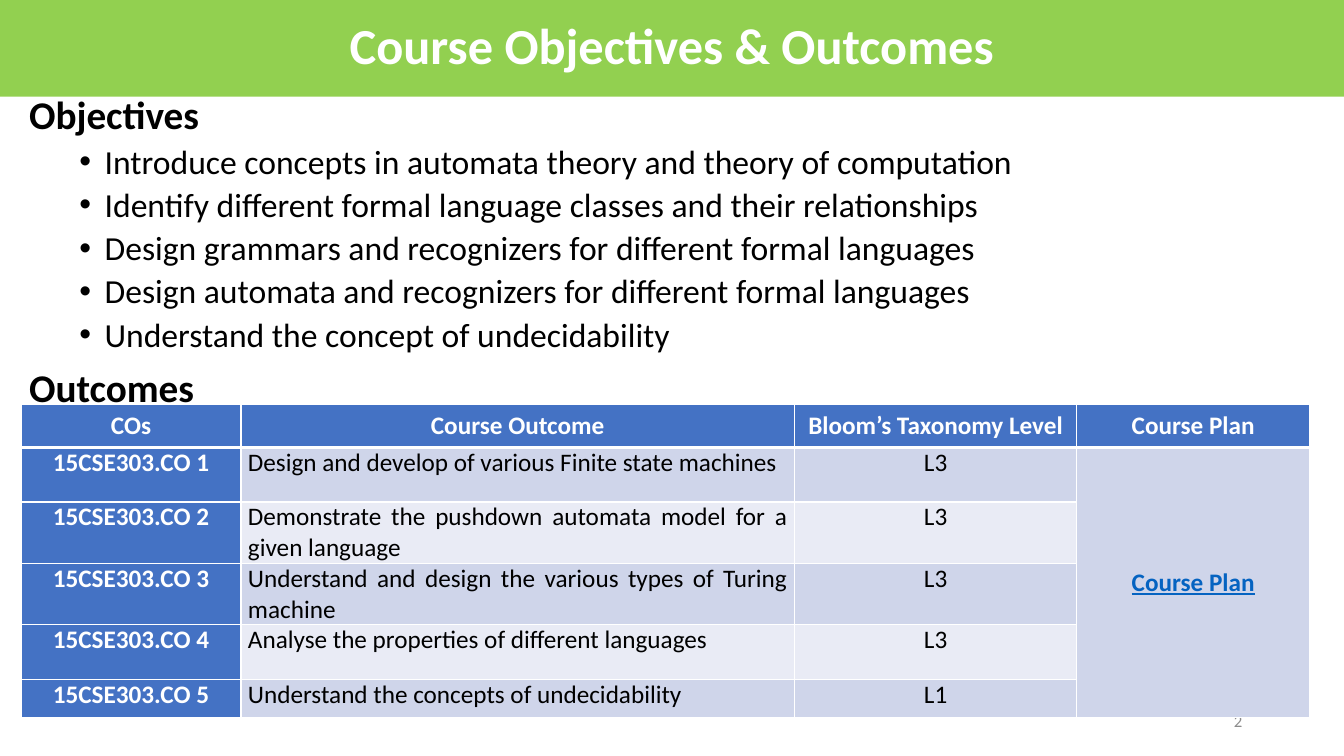
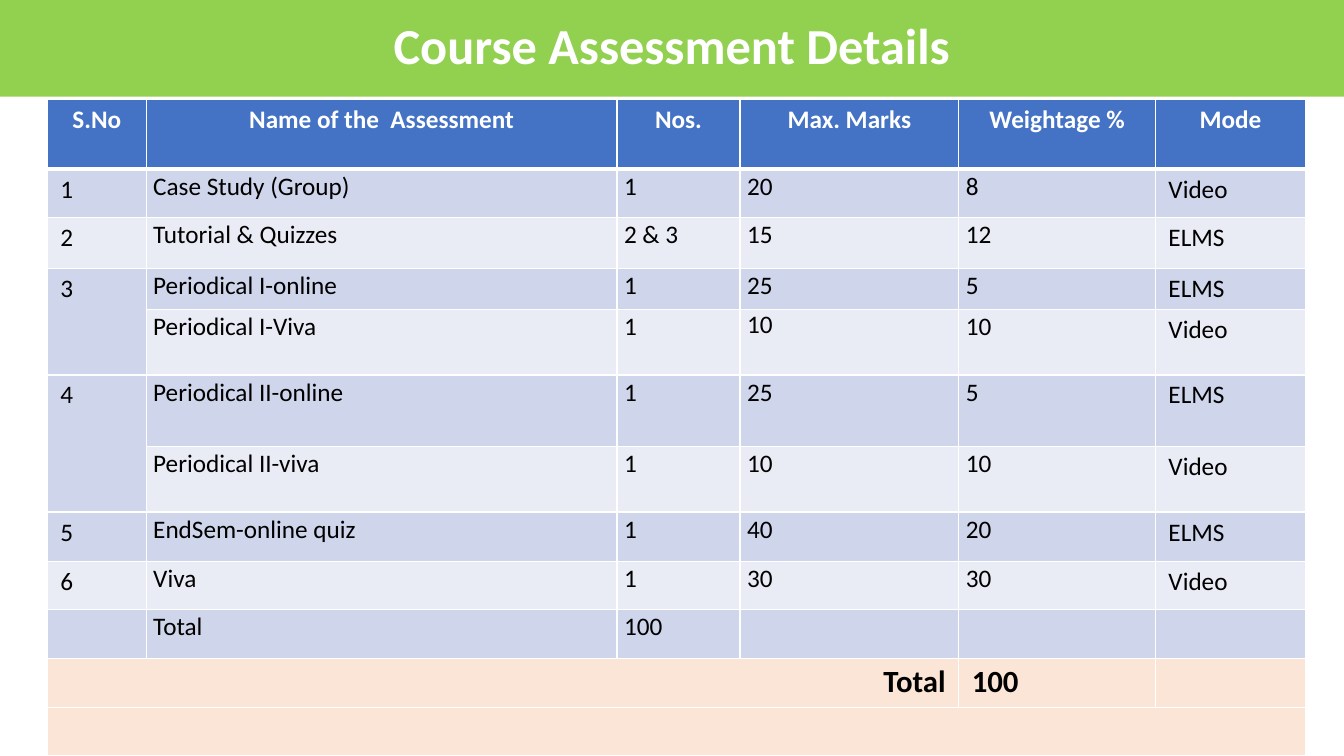
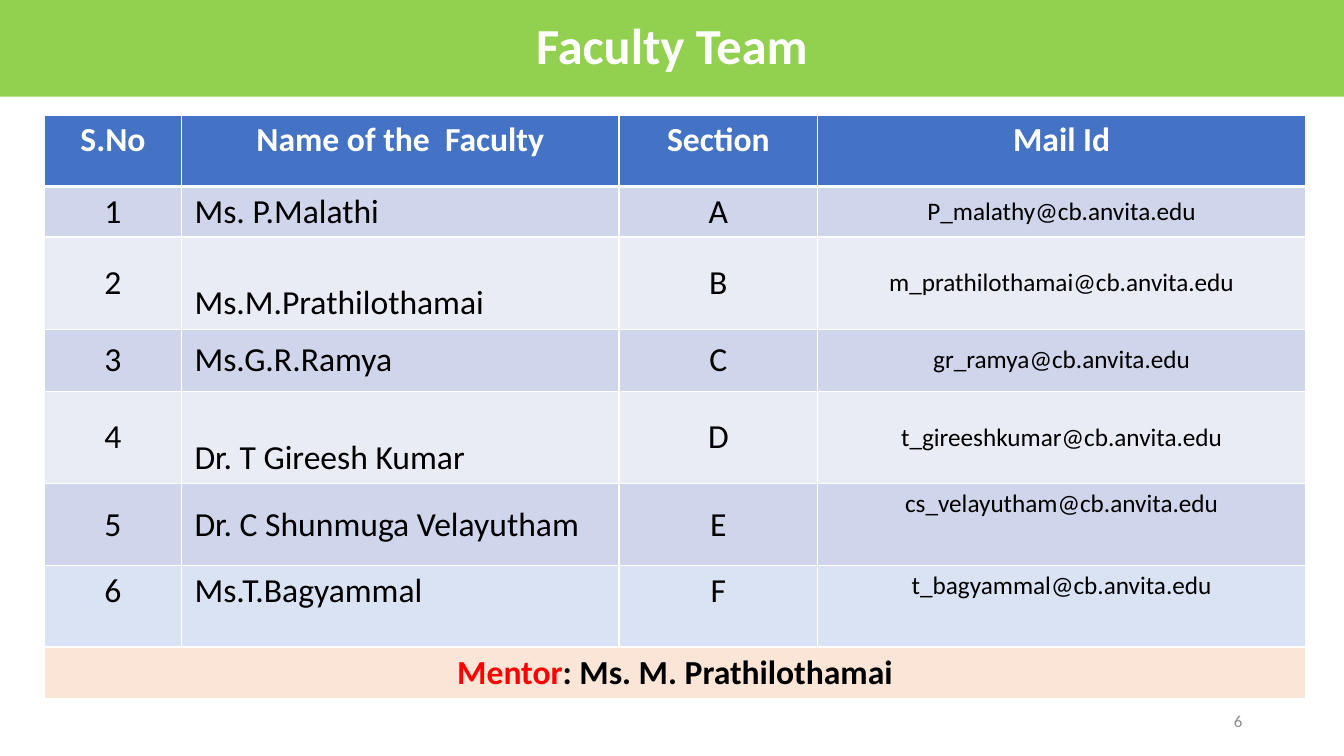
from dataclasses import dataclass

from pptx import Presentation
from pptx import util as u
from pptx.dml.color import RGBColor
from pptx.enum import shapes, text
from pptx.oxml import xmlchemy

LEFT, CENTER, RIGHT, JUSTIFY = (
    text.PP_ALIGN.LEFT, text.PP_ALIGN.CENTER, text.PP_ALIGN.RIGHT, text.PP_ALIGN.JUSTIFY)
TOP, MIDDLE = text.MSO_ANCHOR.TOP, text.MSO_ANCHOR.MIDDLE


@dataclass(frozen=True)
class Theme:
    font: str = "Calibri"
    width: float = 13.33
    height: float = 7.5
    band_height: float = 0.96
    band: str = "92D050"
    header: str = "4472C4"
    stripes: tuple = ("E9EBF5", "CFD5EA")
    total: str = "FBE5D6"
    pale: str = "DAE3F3"
    white: str = "FFFFFF"
    ink: str = "000000"
    muted: str = "8C8C8C"
    link: str = "0563C1"
    accent: str = "FF0000"
    title_size: int = 36
    heading_size: int = 28
    body_size: int = 24
    total_size: int = 22
    cell_size: int = 18
    number_size: int = 12
    tight: tuple = (0.07, 0, 0.07, 0)
    roomy: tuple = (0.13, 0.05, 0.13, 0.05)
    dropped: tuple = (0.13, 0.45, 0.13, 0.05)


THEME = Theme()


def element(parent, tag, **attributes):
    child = xmlchemy.OxmlElement(tag)
    for key, value in attributes.items():
        child.set(key, str(value))
    parent.append(child)
    return child


class Deck:
    def __init__(self, theme):
        self.theme = theme
        self.show = Presentation()
        self.show.slide_width = u.Inches(theme.width)
        self.show.slide_height = u.Inches(theme.height)
        self.slide = None

    def start(self, title):
        self.slide = self.show.slides.add_slide(self.show.slide_layouts[6])
        theme = self.theme
        band = self.slide.shapes.add_shape(
            shapes.MSO_SHAPE.RECTANGLE, 0, 0, u.Inches(theme.width), u.Inches(theme.band_height))
        band.shadow.inherit = False
        band.fill.solid()
        band.fill.fore_color.rgb = RGBColor.from_string(theme.band)
        band.line.fill.background()
        band.text_frame.vertical_anchor = MIDDLE
        self.typeset(band.text_frame.paragraphs[0], title, size=theme.title_size,
                     color=theme.white, bold=True, align=CENTER, spacing=0.9)

    def typeset(self, paragraph, content, size, color=None, bold=False, underline=False,
                align=LEFT, spacing=None, before=None):
        layout = {"alignment": align, "line_spacing": spacing,
                  "space_before": None if before is None else u.Pt(before)}
        for name, value in layout.items():
            setattr(paragraph, name, value)
        runs = [(content, color or self.theme.ink)] if isinstance(content, str) else content
        for words, run_color in runs:
            run = paragraph.add_run()
            run.text = words
            style = {"name": self.theme.font, "size": u.Pt(size),
                     "bold": bold, "underline": underline}
            for name, value in style.items():
                setattr(run.font, name, value)
            run.font.color.rgb = RGBColor.from_string(run_color)

    def box(self, at, anchor=TOP):
        frame = self.slide.shapes.add_textbox(*map(u.Inches, at)).text_frame
        frame.word_wrap = True
        frame.vertical_anchor = anchor
        return frame

    def number(self, value):
        frame = self.box((9.42, 6.95, 3, 0.4), MIDDLE)
        self.typeset(frame.paragraphs[0], value, size=self.theme.number_size,
                     color=self.theme.muted, align=RIGHT)

    def outline(self, at, sections):
        frame = self.box(at)
        lines = [line for heading, points in sections
                 for line in [(heading, False)] + [(point, True) for point in points]]
        for index, (words, is_point) in enumerate(lines):
            paragraph = frame.add_paragraph() if index else frame.paragraphs[0]
            style = (dict(size=self.theme.body_size, align=JUSTIFY, before=5) if is_point
                     else dict(size=self.theme.heading_size, bold=True, before=10))
            self.typeset(paragraph, words, spacing=0.9, **style)
            properties = paragraph._p.get_or_add_pPr()
            properties.set("marL", str(u.Inches(0.75 if is_point else 0.25)))
            properties.set("indent", str(u.Inches(-0.25)))
            if is_point:
                element(properties, "a:buFont", typeface="Arial")
                element(properties, "a:buChar", char="•")

    def table(self, at, widths, heights, rows, columns, header, special=None, spans=()):
        theme, special = self.theme, special or {}
        grid = self.slide.shapes.add_table(
            len(heights), len(widths), *map(u.Inches, (*at, sum(widths), sum(heights)))).table
        grid.first_row = grid.horz_banding = False
        for column, width in zip(grid.columns, widths):
            column.width = u.Inches(width)
        for row, height in zip(grid.rows, heights):
            row.height = u.Inches(height)
        for r, row in enumerate(rows):
            for c, content in enumerate(row):
                style = {"size": theme.cell_size, "fill": theme.stripes[r % 2]}
                if r:
                    style |= columns[c]
                else:
                    style |= dict(fill=theme.header, color=theme.white, bold=True,
                                  align=CENTER) | header
                style |= special.get((r, None), {}) | special.get((r, c), {})
                self.cell(grid.cell(r, c), content, heavy=r == 0, **style)
        for top, left, bottom, right in spans:
            grid.cell(top, left).merge(grid.cell(bottom, right))

    def cell(self, cell, content, fill, heavy, inset=None, anchor=TOP, **style):
        sides = ("margin_left", "margin_top", "margin_right", "margin_bottom")
        for side, margin in zip(sides, inset or self.theme.roomy):
            setattr(cell, side, u.Inches(margin))
        cell.vertical_anchor = anchor
        properties = cell._tc.get_or_add_tcPr()
        for tag in ("a:lnL", "a:lnR", "a:lnT", "a:lnB"):
            weight = 3 if heavy and tag == "a:lnB" else 1
            border = element(properties, tag, w=u.Pt(weight))
            element(element(border, "a:solidFill"), "a:srgbClr", val=self.theme.white)
        cell.fill.solid()
        cell.fill.fore_color.rgb = RGBColor.from_string(fill)
        if content:
            self.typeset(cell.text_frame.paragraphs[0], content, **style)


def objectives(deck):
    theme = deck.theme
    deck.start("Course Objectives & Outcomes")
    deck.outline((0.19, 0.9, 12.66, 6.02), [
        ("Objectives", [
            "Introduce concepts in automata theory and theory of computation",
            "Identify different formal language classes and their relationships",
            "Design grammars and recognizers for different formal languages",
            "Design automata and recognizers for different formal languages",
            "Understand the concept of undecidability"]),
        ("Outcomes", [])])
    deck.number("2")
    outcomes = [
        ("Design and develop of various Finite state machines", "L3"),
        ("Demonstrate the pushdown automata model for a given language", "L3"),
        ("Understand and design the various types of Turing machine", "L3"),
        ("Analyse the properties of different languages", "L3"),
        ("Understand the concepts of undecidability", "L1")]
    rows = [("COs", "Course Outcome", "Bloom’s Taxonomy Level", "Course Plan")]
    rows += [(f"15CSE303.CO {n}", outcome, level, "Course Plan" if n == 1 else "")
             for n, (outcome, level) in enumerate(outcomes, 1)]
    deck.table(
        (0.21, 4.01), (2.18, 5.49, 2.8, 2.31), (0.43, 0.54, 0.61, 0.61, 0.54, 0.38), rows,
        columns=[
            dict(inset=theme.tight, align=CENTER, fill=theme.header,
                 color=theme.white, bold=True),
            dict(inset=theme.tight, align=JUSTIFY),
            dict(inset=theme.tight, align=CENTER),
            dict(inset=theme.tight, align=CENTER, anchor=MIDDLE, color=theme.link,
                 bold=True, underline=True)],
        header=dict(inset=theme.tight, anchor=MIDDLE),
        spans=[(1, 3, 5, 3)])


def assessment(deck):
    theme = deck.theme
    deck.start("Course Assessment Details")
    rows = [
        ("S.No", "Name of the  Assessment", "Nos.", "Max. Marks", "Weightage %", "Mode"),
        ("1", "Case Study (Group)", "1", "20", "8", "Video"),
        ("2", "Tutorial & Quizzes", "2 & 3", "15", "12", "ELMS"),
        ("3", "Periodical I-online", "1", "25", "5", "ELMS"),
        ("", "Periodical I-Viva", "1", "10", "10", "Video"),
        ("4", "Periodical II-online", "1", "25", "5", "ELMS"),
        ("", "Periodical II-viva", "1", "10", "10", "Video"),
        ("5", "EndSem-online quiz", "1", "40", "20", "ELMS"),
        ("6", "Viva", "1", "30", "30", "Video"),
        ("", "Total", "100", "", "", ""),
        ("Total", "", "", "", "100", ""),
        ("", "", "", "", "", "")]
    detail = dict(inset=theme.tight, spacing=1.07)
    total = dict(fill=theme.total, size=theme.total_size, bold=True,
                 inset=theme.roomy, spacing=None)
    deck.table(
        (0.47, 0.99), (0.98, 4.67, 1.22, 2.17, 1.95, 1.49),
        (0.69, 0.48, 0.5, 0.41, 0.65, 0.71, 0.65, 0.49, 0.48, 0.48, 0.49, 0.48), rows,
        columns=[{}, detail, detail, detail, detail, {}], header={},
        special={(4, 3): dict(spacing=None), (10, None): total, (11, None): total,
                 (10, 0): dict(align=RIGHT)},
        spans=[(3, 0, 4, 0), (5, 0, 6, 0), (10, 0, 10, 3), (11, 0, 11, 5)])


def faculty(deck):
    theme = deck.theme
    deck.start("Faculty Team")
    deck.number("6")
    team = [
        ("Ms. P.Malathi", "P_malathy"),
        ("Ms.M.Prathilothamai", "m_prathilothamai"),
        ("Ms.G.R.Ramya", "gr_ramya"),
        ("Dr. T Gireesh Kumar", "t_gireeshkumar"),
        ("Dr. C Shunmuga Velayutham", "cs_velayutham"),
        ("Ms.T.Bagyammal", "t_bagyammal")]
    mentor = [("Mentor", theme.accent), (": Ms. M. Prathilothamai", theme.ink)]
    rows = [("S.No", "Name of the  Faculty", "Section", "Mail Id")]
    rows += [(str(n), name, "ABCDEF"[n - 1], f"{user}@cb.anvita.edu")
             for n, (name, user) in enumerate(team, 1)]
    rows.append((mentor, "", "", ""))
    centred = dict(size=theme.body_size, align=CENTER, anchor=MIDDLE)
    lowered = dict(inset=theme.dropped)
    deck.table(
        (0.44, 1.14), (1.36, 4.34, 1.97, 4.84),
        (0.71, 0.5, 0.92, 0.61, 0.92, 0.81, 0.81, 0.51), rows,
        columns=[centred, centred | dict(align=LEFT), centred,
                 centred | dict(size=theme.cell_size)],
        header=dict(size=theme.body_size),
        special={(2, 1): lowered, (4, 1): lowered, (5, 3): dict(anchor=TOP),
                 (6, None): dict(fill=theme.pale, anchor=TOP),
                 (7, None): dict(fill=theme.total, anchor=TOP, bold=True)},
        spans=[(7, 0, 7, 3)])


def main():
    deck = Deck(THEME)
    for build in (objectives, assessment, faculty):
        build(deck)
    deck.show.save("out.pptx")


if __name__ == "__main__":
    main()
